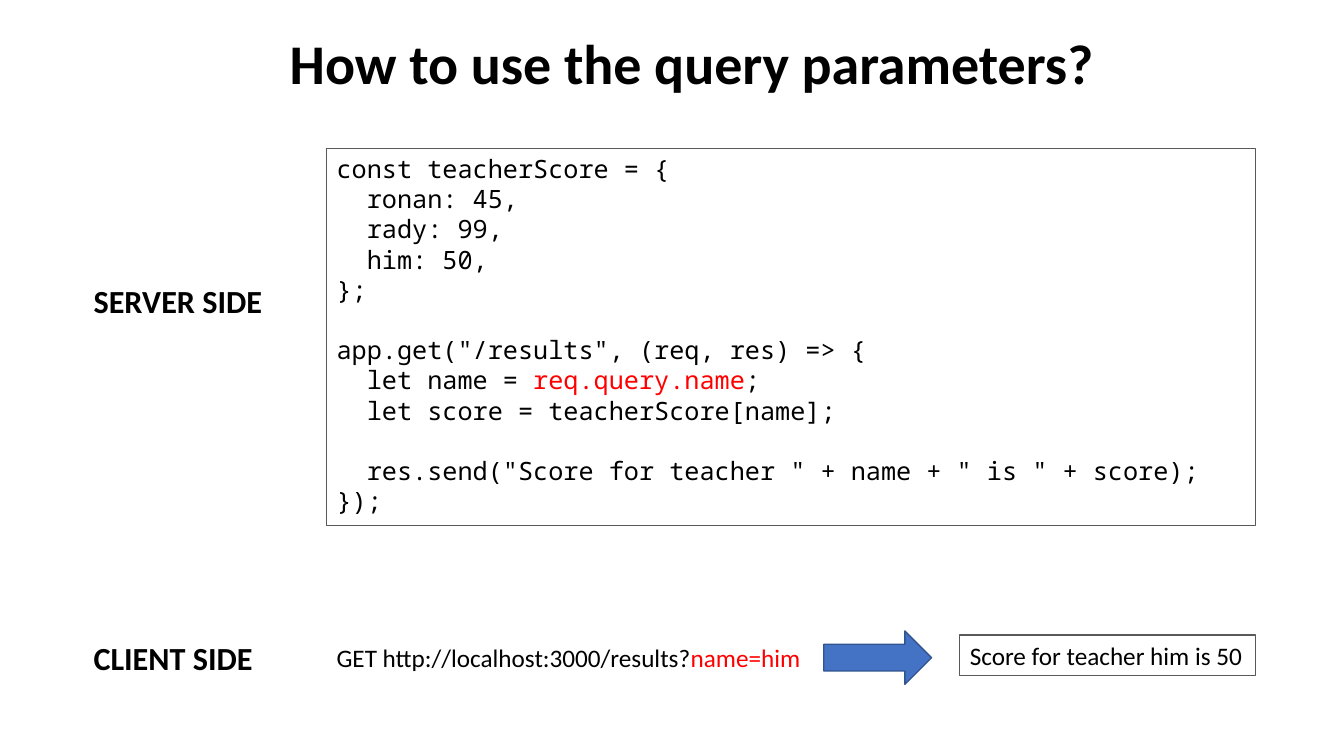
import pptx
import pptx.util
import pptx.dml.color
import pptx.enum.shapes
import pptx.enum.text

Inches = pptx.util.Inches
Pt = pptx.util.Pt
RGBColor = pptx.dml.color.RGBColor
Shape = pptx.enum.shapes.MSO_SHAPE
Align = pptx.enum.text.PP_ALIGN

BLACK = RGBColor(0x00, 0x00, 0x00)
RED = RGBColor(0xFF, 0x00, 0x00)
GRAY = RGBColor(0x59, 0x59, 0x59)
BLUE = RGBColor(0x44, 0x72, 0xC4)
NAVY = RGBColor(0x31, 0x53, 0x8F)

# Content: each line is a list of (text, colour) pieces
TITLE = "How to use the query parameters?"
SERVER = "SERVER SIDE"
CLIENT = "CLIENT SIDE"
CODE = [
    [("const teacherScore = {", BLACK)],
    [("  ronan: 45,", BLACK)],
    [("  rady: 99,", BLACK)],
    [("  him: 50,", BLACK)],
    [("};", BLACK)],
    [("\napp.get(\"/results\", (req, res) => {", BLACK)],
    [("  let name = ", BLACK), ("req.query.name", RED), (";", BLACK)],
    [("  let score = teacherScore[name];", BLACK)],
    [("\n  res.send(\"Score for teacher \" + name + \" is \" + score);", BLACK)],
    [("});", BLACK)],
]
REQUEST = [[("GET http://localhost:3000/results?", BLACK), ("name=him", RED)]]
REPLY = "Score for teacher him is 50"

# Layout in inches
LEFT = 0.83
MID = 3.24
RIGHT = 12.45
REPLY_X = 9.52

prs = pptx.Presentation()
prs.slide_width = Inches(13.33)
prs.slide_height = Inches(7.5)
slide = prs.slides.add_slide(prs.slide_layouts[6])


def add_text(text, x, y, w, h, size=18, font="Calibri", bold=False,
             align=Align.LEFT, framed=False):
    """Place text, in a thin frame if asked; a plain string is one black line."""
    place = [Inches(v) for v in (x, y, w, h)]
    if framed:
        box = slide.shapes.add_shape(Shape.RECTANGLE, *place)
        box.shadow.inherit = False
        box.fill.background()
        box.line.color.rgb = GRAY
        box.line.width = Pt(0.75)
    else:
        box = slide.shapes.add_textbox(*place)
    frame = box.text_frame
    frame.word_wrap = True
    frame.auto_size = pptx.enum.text.MSO_AUTO_SIZE.SHAPE_TO_FIT_TEXT
    frame.vertical_anchor = pptx.enum.text.MSO_ANCHOR.TOP
    lines = [[(text, BLACK)]] if isinstance(text, str) else text
    for i, line in enumerate(lines):
        para = frame.add_paragraph() if i else frame.paragraphs[0]
        para.alignment = align
        para.font.size = Pt(size)
        para.font.name = font
        for piece, color in line:
            if piece.startswith("\n"):
                para.add_line_break()
            run = para.add_run()
            run.text = piece.lstrip("\n")
            run.font.size = Pt(size)
            run.font.name = font
            run.font.bold = bold
            run.font.color.rgb = color
    return box


# Title
add_text(TITLE, 2.73, 0.23, 8.26, 0.77, size=40, bold=True, align=Align.CENTER)

# Server side
add_text(SERVER, LEFT, 2.74, 1.89, 0.49, size=23, bold=True)
add_text(CODE, MID, 1.47, RIGHT - MID, 3.74, font="Noto Sans Mono", framed=True)

# Client side
add_text(CLIENT, LEFT, 6.28, 1.8, 0.49, size=23, bold=True)
add_text(REQUEST, MID, 6.32, 4.86, 0.4)
add_text(REPLY, REPLY_X, 6.3, RIGHT - REPLY_X, 0.4, framed=True)

# Arrow from request to reply
arrow = slide.shapes.add_shape(Shape.RIGHT_ARROW, Inches(8.17), Inches(6.26),
                               Inches(1.07), Inches(0.53))
arrow.shadow.inherit = False
arrow.fill.solid()
arrow.fill.fore_color.rgb = BLUE
arrow.line.color.rgb = NAVY
arrow.line.width = Pt(1)

prs.save("out.pptx")
